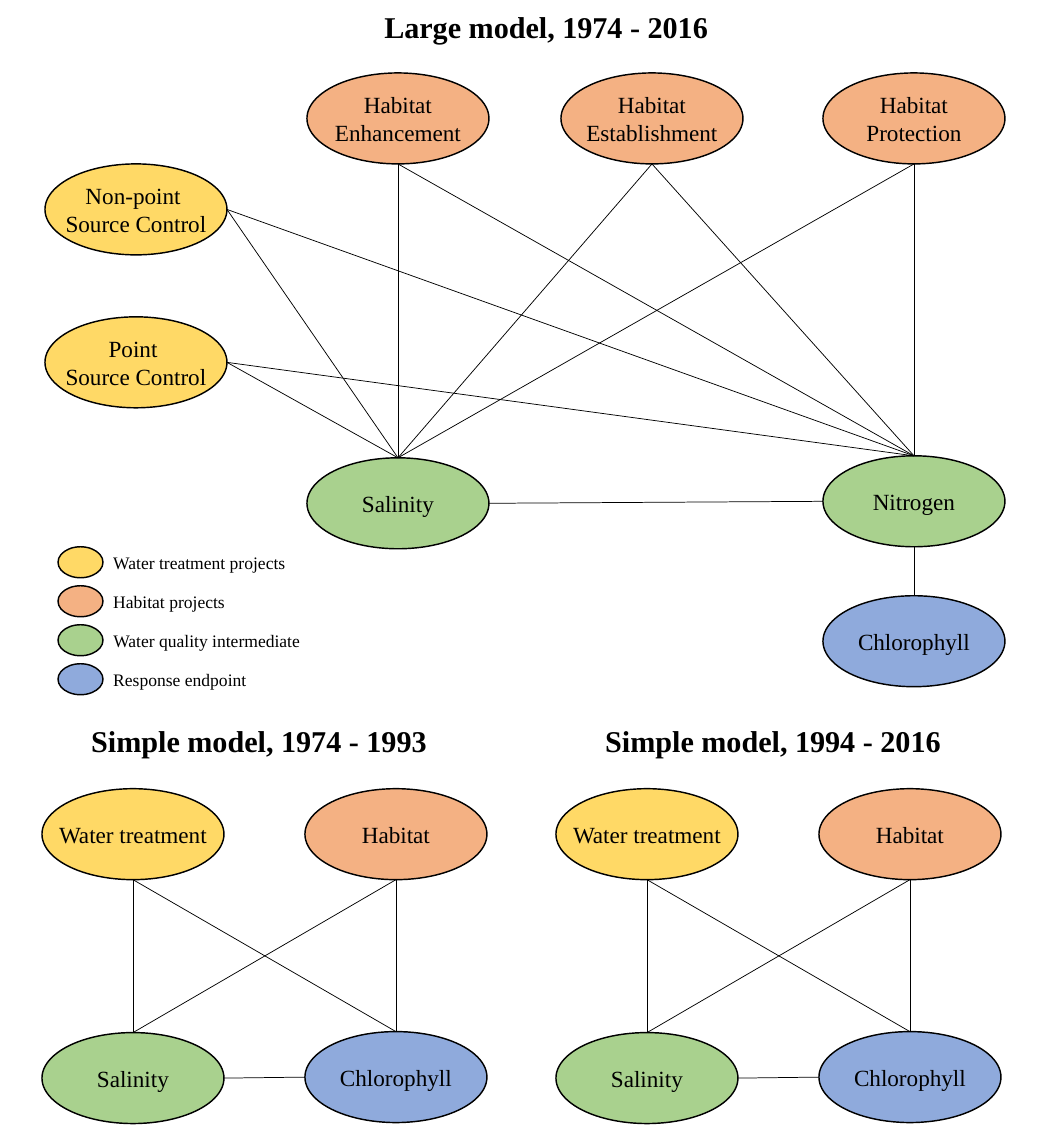
"""Draw one large and two simple water quality models as linked ovals."""
from pptx import Presentation
from pptx.dml.color import RGBColor
from pptx.enum.shapes import MSO_CONNECTOR as LINK, MSO_SHAPE as KIND
from pptx.enum.text import MSO_ANCHOR as ANCHOR, MSO_AUTO_SIZE as FIT, PP_ALIGN as ALIGN
from pptx.oxml.ns import qn
from pptx.util import Inches, Pt
from lxml import etree

PX = Inches(1) / 104.4
HUES = {"treat": "FFD966", "habitat": "F4B183", "quality": "A9D18E",
        "end": "8FAADC", "ink": "000000"}
INK = RGBColor.from_string(HUES["ink"])
WIDE, HIGH = 182, 91

deck = Presentation()
deck.slide_width, deck.slide_height = Inches(10), Inches(11)
slide = deck.slides.add_slide(deck.slide_layouts[6])
shapes = slide.shapes


def write(shape, text, size, bold=False, align=ALIGN.LEFT):
    frame = shape.text_frame
    frame.text = text
    frame.word_wrap = False
    for para in frame.paragraphs:
        para.alignment = align
        for run in para.runs:
            font = run.font
            font.name, font.size, font.bold = "Times New Roman", Pt(size), bold
            font.color.rgb = INK
    return frame


def add_oval(x, y, wide, high, hue):
    oval = shapes.add_shape(KIND.OVAL, *[int(v * PX) for v in (x, y, wide, high)])
    oval.shadow.inherit = False
    oval.fill.solid()
    oval.fill.fore_color.rgb = RGBColor.from_string(HUES[hue])
    oval.line.color.rgb = INK
    oval.line.width = Pt(1)
    return oval


legend = [("treat", "Water treatment projects", 195), ("habitat", "Habitat projects", 135),
          ("quality", "Water quality intermediate", 210), ("end", "Response endpoint", 157)]
labels = [("Large model, 1974 - 2016 ", 374, 3, 356, 47, 20.8, True)]
for row, (hue, text, wide) in enumerate(legend):
    top = 547 + 39 * row
    add_oval(58, top, 45, 31, hue)
    labels.append((text, 103, top, wide, 32, 12.1, False))

nodes = {
    "enhance": ("Habitat\nEnhancement", 307, 73, "habitat"),
    "establish": ("Habitat\nEstablishment", 561, 73, "habitat"),
    "protect": ("Habitat\nProtection", 823, 73, "habitat"),
    "nonpoint": ("Non-point \nSource Control", 45, 164, "treat"),
    "point": ("Point \nSource Control", 45, 317, "treat"),
    "salt": ("Salinity", 307, 458, "quality"),
    "nitro": ("Nitrogen", 823, 456, "quality"),
    "chloro": ("Chlorophyll", 823, 596, "end"),
}
links = [("salt", "right", "nitro", "left"), ("nitro", "bottom", "chloro", "top")]
for goal in ("salt", "nitro"):
    links += [(name, "bottom", goal, "top") for name in ("enhance", "establish", "protect")]
    links += [(name, "right", goal, "top") for name in ("nonpoint", "point")]

for part, years in enumerate(("1974 - 1993", "1994 - 2016")):
    shift = 514 * part
    labels.append((f"Simple model, {years} ", 81 + shift, 717, 369, 47, 20.8, True))
    water, land, salt, chloro = [f"{name}{part}" for name in ("water", "land", "salt", "chloro")]
    nodes[land] = ("Habitat", 305 + shift, 789, "habitat")
    nodes[water] = ("Water treatment", 42 + shift, 789, "treat")
    nodes[salt] = ("Salinity", 42 + shift, 1033, "quality")
    nodes[chloro] = ("Chlorophyll", 305 + shift, 1032, "end")
    links += [(start, "bottom", goal, "top") for start in (water, land) for goal in (salt, chloro)]
    links.append((salt, "right", chloro, "left"))

for text, x, y, wide, high, size, bold in labels:
    box = shapes.add_textbox(*[int(v * PX) for v in (x, y, wide, high)])
    write(box, text, size, bold).auto_size = FIT.SHAPE_TO_FIT_TEXT

for text, x, y, hue in nodes.values():
    frame = write(add_oval(x, y, WIDE, HIGH, hue), text, 16, align=ALIGN.CENTER)
    frame.vertical_anchor = ANCHOR.MIDDLE
    frame.margin_left = frame.margin_right = int(9 * PX)
    frame.margin_top = frame.margin_bottom = int(4 * PX)

sides = {"top": (WIDE / 2, 0), "bottom": (WIDE / 2, HIGH),
         "left": (0, HIGH / 2), "right": (WIDE, HIGH / 2)}
for start, out, goal, into in links:
    ends = []
    for name, side in ((start, out), (goal, into)):
        x, y = nodes[name][1:3]
        dx, dy = sides[side]
        ends += [int((x + dx) * PX), int((y + dy) * PX)]
    line = shapes.add_connector(LINK.STRAIGHT, *ends)
    line.line.color.rgb = INK
    line.line.width = Pt(0.5)
    etree.SubElement(line._element.spPr, qn("a:effectLst"))

deck.save("out.pptx")
